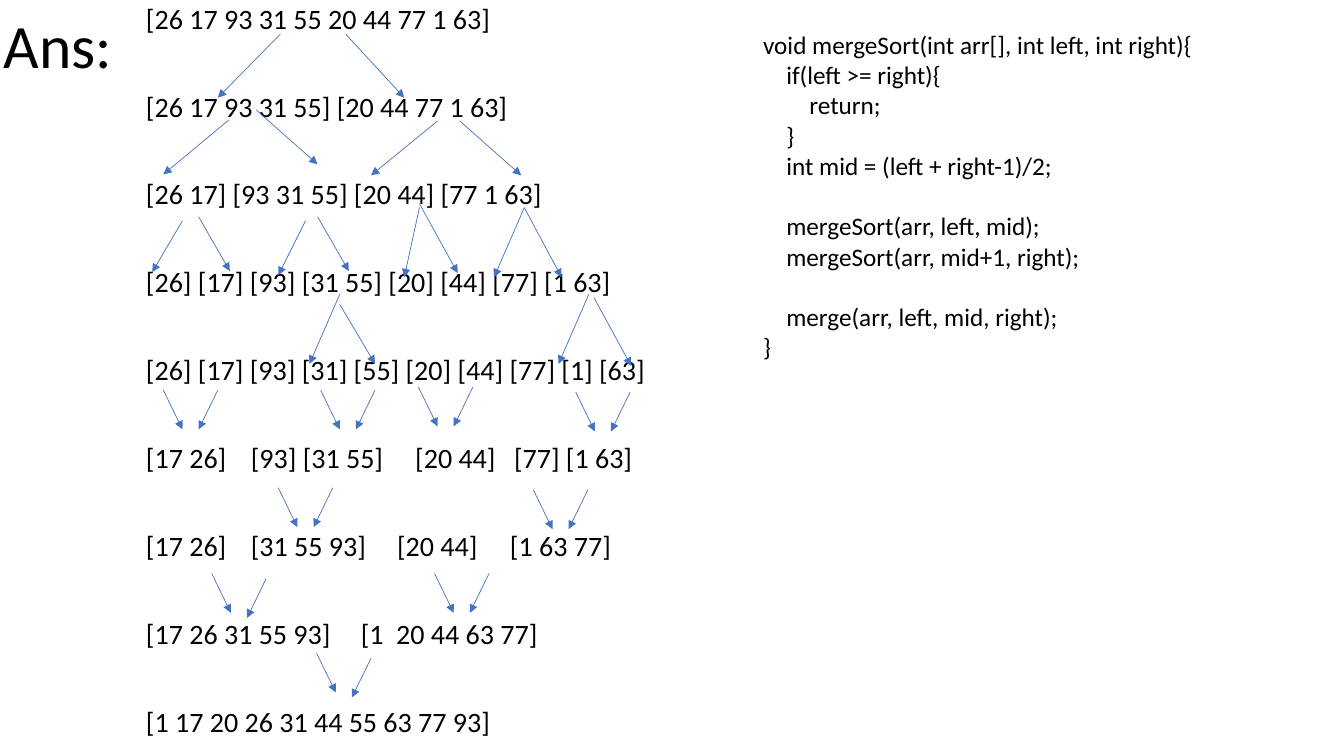
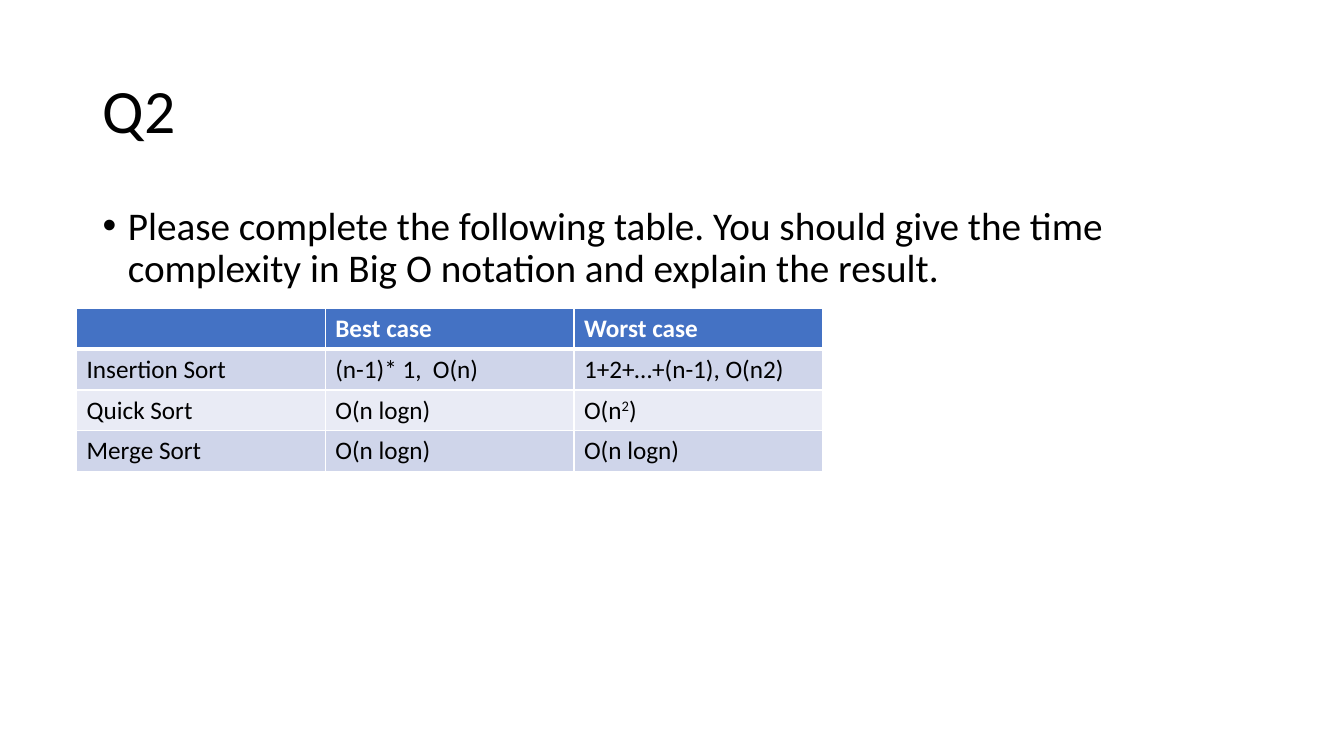
from lxml import etree
from pptx import Presentation
from pptx.dml.color import RGBColor
from pptx.enum.shapes import MSO_CONNECTOR
from pptx.enum.text import MSO_ANCHOR
from pptx.oxml.ns import qn
from pptx.util import Inches, Pt

STRAIGHT = MSO_CONNECTOR.STRAIGHT
TOP, MIDDLE = MSO_ANCHOR.TOP, MSO_ANCHOR.MIDDLE

BLACK = RGBColor(0x00, 0x00, 0x00)
WHITE = RGBColor(0xFF, 0xFF, 0xFF)
BLUE = RGBColor(0x44, 0x72, 0xC4)
BAND_DARK = RGBColor(0xCF, 0xD5, 0xEA)
BAND_LIGHT = RGBColor(0xE9, 0xEB, 0xF5)

FONT = "Calibri"
SLIDE_W, SLIDE_H = 13.33, 7.5
CONTENT_W = 11.5
TITLE_H = 1.45
ROW_H = 0.88  # pitch of the levels in the merge sort tree
TREE_LEFT = 1.35
ROW_GAP = 41.2
CODE_INDENT = 0.23
CODE_LINE = 21.6

# Each level: its text and the tab stops of its groups
TREE_LEVELS = [
    ("[26 17 93 31 55 20 44 77 1 63]", ()),
    ("[26 17 93 31 55] [20 44 77 1 63]", ()),
    ("[26 17] [93 31 55] [20 44] [77 1 63]", ()),
    ("[26] [17] [93] [31 55] [20] [44] [77] [1 63]", ()),
    ("[26] [17] [93] [31] [55] [20] [44] [77] [1] [63]", ()),
    ("[17 26]\t[93] [31 55]\t[20 44]\t[77] [1 63]", (1.04, 2.67, 3.65)),
    ("[17 26]\t[31 55 93]\t[20 44]\t[1 63 77]", (1.04, 2.49, 3.61)),
    ("[17 26 31 55 93]\t[1  20 44 63 77]", (2.13,)),
    ("[1 17 20 26 31 44 55 63 77 93]", ()),
]

# Level: (start x, start drop, end x, end drop), drops measured from the level's top
SPLITS = {
    0: [(2.78, 0.34, 2.16, 0.97), (3.43, 0.34, 4.01, 0.97)],
    1: [(2.27, 0.31, 1.62, 0.85), (2.54, 0.21, 3.15, 0.75),
        (4.34, 0.32, 3.68, 0.86), (4.56, 0.32, 5.17, 0.86)],
    2: [(1.81, 0.43, 1.51, 0.94), (1.97, 0.39, 2.28, 0.93),
        (3.03, 0.43, 2.76, 0.97), (3.15, 0.39, 3.46, 0.93),
        (4.16, 0.30, 4.01, 0.99), (4.16, 0.26, 4.54, 0.95),
        (5.20, 0.30, 4.90, 0.99), (5.20, 0.30, 5.57, 0.99)],
    3: [(3.37, 0.28, 3.07, 0.97), (3.37, 0.38, 3.72, 0.97),
        (5.84, 0.28, 5.54, 0.97), (5.89, 0.31, 6.26, 0.99)],
}

# Level: (centre x, drop of the left arrow, drop of the right arrow)
MERGES = {
    4: [(1.89, 0.35, 0.35), (3.45, 0.35, 0.35), (4.42, 0.32, 0.32), (5.98, 0.37, 0.37)],
    5: [(3.03, 0.44, 0.44), (5.56, 0.46, 0.46)],
    6: [(2.37, 0.41, 0.46), (4.58, 0.41, 0.41)],
    7: [(3.41, 0.32, 0.37)],
}
MERGE_OUTER, MERGE_INNER, MERGE_H = 0.27, 0.08, 0.39

# (indent level, code, empty lines above)
CODE = [
    (0, "void mergeSort(int arr[], int left, int right){", 0),
    (1, "if(left >= right){", 0),
    (2, "return;", 0),
    (1, "}", 0),
    (1, "int mid = (left + right-1)/2;", 0),
    (1, "mergeSort(arr, left, mid);", 1),
    (1, "mergeSort(arr, mid+1, right);", 0),
    (1, "merge(arr, left, mid, right);", 1),
    (0, "}", 0),
]

QUESTION = ("Please complete the following table. You should give the time "
            "complexity in Big O notation and explain the result.")
COMPLEXITIES = [  # text between carets is superscript
    ("", "Best case", "Worst case"),
    ("Insertion Sort", "(n-1)* 1,  O(n)", "1+2+…+(n-1), O(n2)"),
    ("Quick Sort", "O(n logn)", "O(n^2^)"),
    ("Merge Sort", "O(n logn)", "O(n logn)"),
]


def apply(target, formats):
    for name, value in formats.items():
        setattr(target, name, value)


def write(paragraph, text, size, color=BLACK, bold=False, **formats):
    """Fill a paragraph; text between carets becomes superscript."""
    apply(paragraph, formats)
    for index, part in enumerate(text.split("^")):
        run = paragraph.add_run()
        run.text = part
        apply(run.font, {"name": FONT, "size": Pt(size), "bold": bold})
        run.font.color.rgb = color
        if index % 2:
            run._r.get_or_add_rPr().set("baseline", "30000")


def add_frame(slide, left, top, width, height, anchor=TOP):
    box = slide.shapes.add_textbox(*map(Inches, (left, top, width, height)))
    apply(box.text_frame, {"word_wrap": True, "vertical_anchor": anchor})
    return box.text_frame


def next_paragraph(frame, index):
    return frame.add_paragraph() if index else frame.paragraphs[0]


def set_indent(paragraph, left, first=0):
    properties = paragraph._p.get_or_add_pPr()
    properties.set("marL", str(Inches(left)))
    properties.set("indent", str(Inches(first)))
    return properties


def add_title(slide, text, left, top):
    frame = add_frame(slide, left, top, CONTENT_W, TITLE_H, MIDDLE)
    write(frame.paragraphs[0], text, 44, line_spacing=0.9)


def add_arrow(slide, start_x, start_y, end_x, end_y):
    arrow = slide.shapes.add_connector(
        STRAIGHT, *map(Inches, (start_x, start_y, end_x, end_y)))
    arrow.line.color.rgb = BLUE
    arrow.line.width = Pt(0.5)
    etree.SubElement(arrow.line._get_or_add_ln(), qn("a:tailEnd"), type="triangle")
    etree.SubElement(arrow._element.spPr, qn("a:effectLst"))


def add_tree_levels(slide):
    frame = add_frame(slide, TREE_LEFT, 0, CONTENT_W, SLIDE_H)
    for index, (text, stops) in enumerate(TREE_LEVELS):
        paragraph = next_paragraph(frame, index)
        write(paragraph, text, 20, line_spacing=0.9,
              space_before=Pt(ROW_GAP if index else 0))
        if stops:
            tabs = etree.SubElement(paragraph._p.get_or_add_pPr(), qn("a:tabLst"))
            for stop in stops:
                etree.SubElement(tabs, qn("a:tab"), pos=str(Inches(stop)), algn="l")


def add_tree_arrows(slide):
    for level, splits in SPLITS.items():
        top = level * ROW_H
        for start_x, start_drop, end_x, end_drop in splits:
            add_arrow(slide, start_x, top + start_drop, end_x, top + end_drop)
    for level, merges in MERGES.items():
        for centre, *drops in merges:
            for side, drop in zip((-1, 1), drops):
                start_y = level * ROW_H + drop
                add_arrow(slide, centre + side * MERGE_OUTER, start_y,
                          centre + side * MERGE_INNER, start_y + MERGE_H)


def add_code(slide):
    frame = add_frame(slide, 7.47, 0.24, 4.51, 3.43)
    for index, (level, text, empty_lines) in enumerate(CODE):
        paragraph = next_paragraph(frame, index)
        write(paragraph, text, 18, space_before=Pt(empty_lines * CODE_LINE))
        set_indent(paragraph, level * CODE_INDENT)


def add_question(slide):
    paragraph = add_frame(slide, 0.92, 2, CONTENT_W, 4.76).paragraphs[0]
    write(paragraph, QUESTION, 28, line_spacing=0.9)
    properties = set_indent(paragraph, 0.25, -0.25)
    etree.SubElement(properties, qn("a:buFont"), typeface="Arial")
    etree.SubElement(properties, qn("a:buChar"), char="•")


def set_borders(cell, widths):
    """Draw white borders; widths maps each side to points."""
    properties = cell._tc.get_or_add_tcPr()
    for side, width in widths.items():
        line = etree.SubElement(properties, qn(f"a:ln{side}"), w=str(Pt(width)))
        fill = etree.SubElement(line, qn("a:solidFill"))
        etree.SubElement(fill, qn("a:srgbClr"), val=str(WHITE))


def add_complexity_table(slide):
    rows, columns = len(COMPLEXITIES), len(COMPLEXITIES[0])
    table = slide.shapes.add_table(
        rows, columns, *map(Inches, (0.76, 3.06, 7.4, 1.62))).table
    for row, texts in enumerate(COMPLEXITIES):
        header = row == 0
        fill = BLUE if header else BAND_DARK if row % 2 else BAND_LIGHT
        for column, text in enumerate(texts):
            cell = table.cell(row, column)
            set_borders(cell, {"L": 1, "R": 1, "T": 3 if row == 1 else 1,
                               "B": 3 if header else 1})
            cell.fill.solid()
            cell.fill.fore_color.rgb = fill
            if text:
                write(cell.text_frame.paragraphs[0], text, 18,
                      WHITE if header else BLACK, header)


def build_answer(slide):
    add_title(slide, "Ans:", -0.06, -0.24)
    add_tree_levels(slide)
    add_tree_arrows(slide)
    add_code(slide)


def build_question(slide):
    add_title(slide, "Q2", 0.92, 0.4)
    add_question(slide)
    add_complexity_table(slide)


def main():
    presentation = Presentation()
    apply(presentation, {"slide_width": Inches(SLIDE_W), "slide_height": Inches(SLIDE_H)})
    blank = presentation.slide_layouts[6]
    for build in (build_answer, build_question):
        build(presentation.slides.add_slide(blank))
    presentation.save("out.pptx")


if __name__ == "__main__":
    main()
